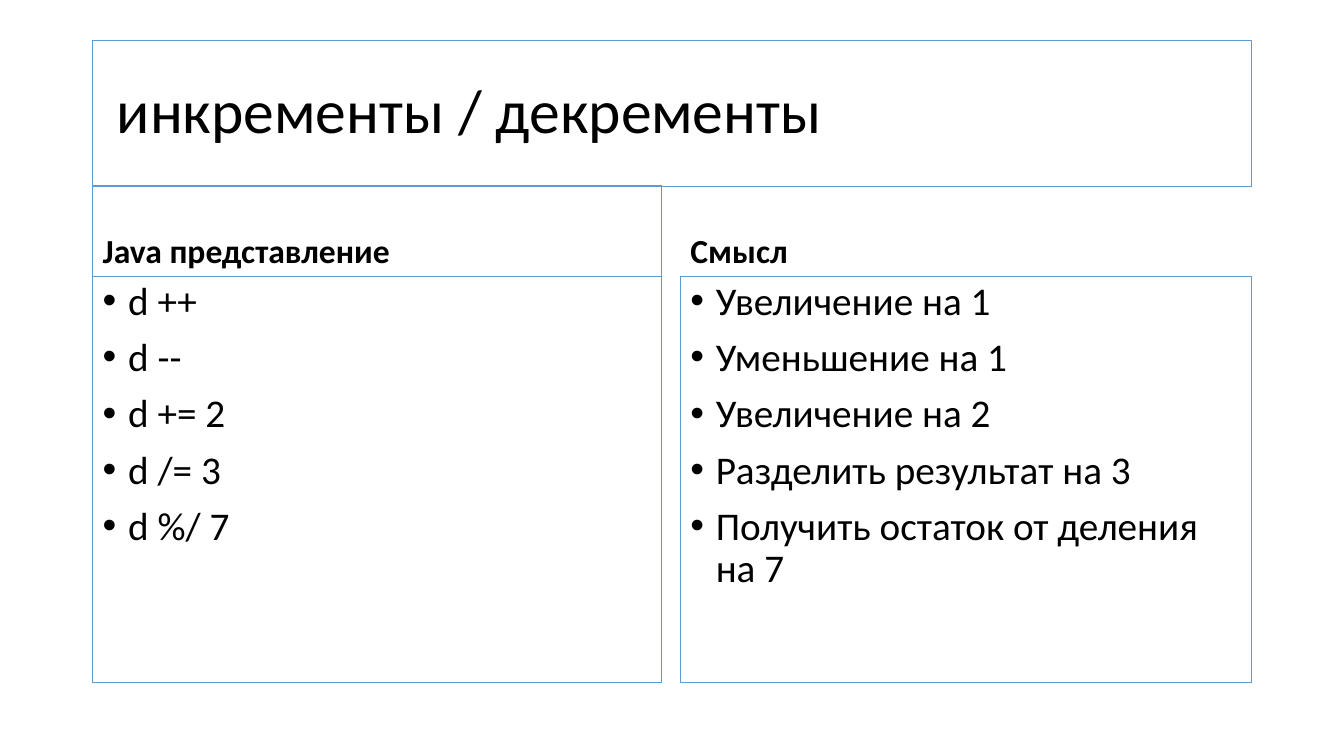
from pptx import Presentation
from pptx.dml.color import RGBColor
from pptx.enum import text as t
from pptx.oxml import xmlchemy as x
from pptx.util import Cm, Pt

LEFT, TOP, WIDE = 2.34, 1.02, 29.21
HEAD_TOP, HEAD_H = 4.67, 2.29
LIST_TOP, LIST_H = HEAD_TOP + HEAD_H, 10.24
INDENT = Cm(0.64)

# left edge, width, heading, heading has a frame, list items
COLS = [
    (LEFT, 14.33, "Java представление", True,
     ["d ++", "d --", "d += 2", "d /= 3", "d %/ 7"]),
    (17.15, 14.4, "Смысл", False,
     ["Увеличение на 1", "Уменьшение на 1", "Увеличение на 2",
      "Разделить результат на 3", "Получить остаток от деления на 7"]),
]


def color(code):
    """Turn a hex string into a colour."""
    return RGBColor.from_string(code)


def assign(item, values):
    """Set attributes of an item from a dict."""
    for name, value in values.items():
        setattr(item, name, value)


def place(shape, left, top, width, height):
    """Put a shape at a place given in centimetres."""
    assign(shape, {"left": Cm(left), "top": Cm(top),
                   "width": Cm(width), "height": Cm(height)})


def frame(shape):
    """Give a shape its thin blue outline."""
    shape.line.color.rgb = color("5B9BD5")
    shape.line.width = Pt(0.75)


def write(shape, lines, anchor, size, bold=False, before=10):
    """Fill a shape with paragraphs of one style."""
    body = shape.text_frame
    body.text = "\n".join(lines)
    assign(body, {"word_wrap": True, "vertical_anchor": anchor,
                  "auto_size": t.MSO_AUTO_SIZE.NONE})
    for para in body.paragraphs:
        assign(para, {"alignment": t.PP_ALIGN.LEFT, "line_spacing": 0.9,
                      "space_before": Pt(before)})
        for run in para.runs:
            assign(run.font, {"name": "Calibri", "size": Pt(size), "bold": bold})
            run.font.color.rgb = color("000000")


def bullet(shape):
    """Add a hanging round bullet to each paragraph."""
    for para in shape.text_frame.paragraphs:
        props = para._p.get_or_add_pPr()
        props.set("marL", str(INDENT))
        props.set("indent", str(-INDENT))
        for tag, key, value in [("a:buFont", "typeface", "Arial"),
                                ("a:buChar", "char", "•")]:
            mark = x.OxmlElement(tag)
            mark.set(key, value)
            props.append(mark)


def box(slide, *area):
    """Add an empty text box."""
    shape = slide.shapes.add_textbox(0, 0, 0, 0)
    place(shape, *area)
    return shape


def column(slide, left, width, label, framed, items):
    """Add a heading with its bullet list below."""
    head = box(slide, left, HEAD_TOP, width, HEAD_H)
    write(head, [label], t.MSO_ANCHOR.BOTTOM, 24, bold=True)
    if framed:
        frame(head)
    points = box(slide, left, LIST_TOP, width, LIST_H)
    write(points, items, t.MSO_ANCHOR.TOP, 28)
    bullet(points)
    frame(points)


def main():
    """Build the slide and save it."""
    deck = Presentation()
    assign(deck, {"slide_width": Cm(33.87), "slide_height": Cm(19.05)})
    slide = deck.slides.add_slide(deck.slide_layouts[5])
    title = slide.shapes.title
    place(title, LEFT, TOP, WIDE, 3.68)
    write(title, [" инкременты / декременты"], t.MSO_ANCHOR.MIDDLE, 44, before=0)
    frame(title)
    for col in COLS:
        column(slide, *col)
    deck.save("out.pptx")


main()
